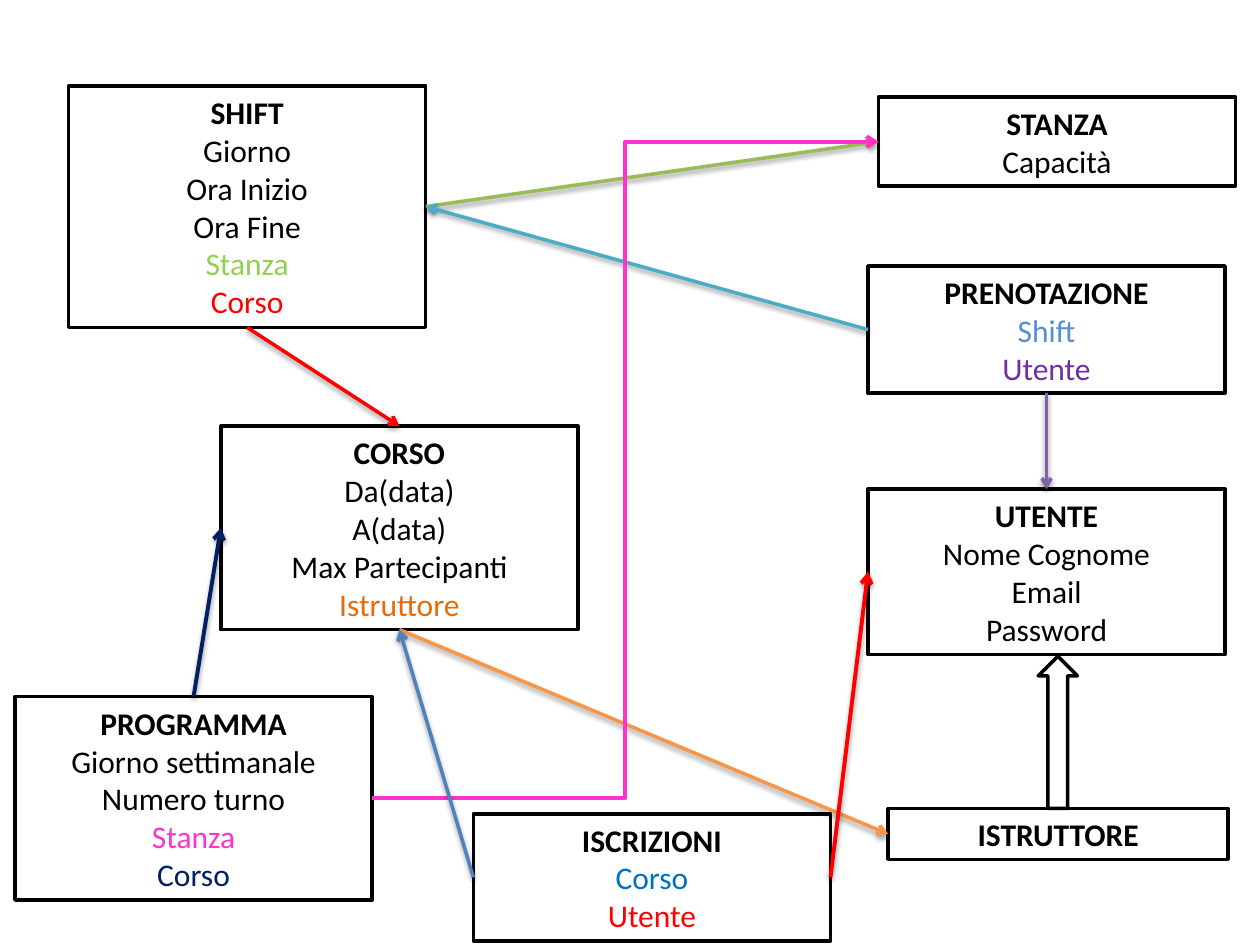
"""Builds the entity diagram of a course booking system."""
from dataclasses import dataclass

import lxml.etree
import pptx
import pptx.dml.color
import pptx.enum.shapes
import pptx.enum.text
import pptx.oxml.ns
import pptx.util

Pt = pptx.util.Pt
SHAPES = pptx.enum.shapes.MSO_SHAPE
CONNECTORS = pptx.enum.shapes.MSO_CONNECTOR
BLACK, WHITE, RED, PINK, NAVY = "000000", "FFFFFF", "FF0000", "FF33CC", "002060"
TOP, LEFT, BOTTOM, RIGHT = range(4)
LINE_HEIGHT, PADDING = 21.81, 7.27


@dataclass
class Field:
    text: str
    color: str = BLACK
    same_paragraph: bool = False


@dataclass
class Entity:
    name: str
    left: float
    top: float
    fields: list[Field]
    width: float = 204.1


@dataclass
class Link:
    source: str
    source_side: int
    target: str
    target_side: int
    color: str
    weight: float = 2
    elbow: bool = False


ENTITIES = [
    Entity("SHIFT", 39.2, 49, [
        Field("Giorno"), Field("Ora Inizio"), Field("Ora Fine"),
        Field("Stanza", "92D050"), Field("Corso", RED)]),
    Entity("STANZA", 502, 55.5, [Field("Capacità")]),
    Entity("CORSO", 126.2, 243.5, [
        Field("Da(data)"), Field("A(data)"), Field("Max Partecipanti"),
        Field("Istruttore", "E46C0A", True)]),
    Entity("PRENOTAZIONE", 496, 152, [
        Field("Shift", "558ED5"), Field("Utente", "7030A0")]),
    Entity("UTENTE", 496, 279.5, [
        Field("Nome Cognome"), Field("Email"), Field("Password")]),
    Entity("ISTRUTTORE", 507.5, 462, [], 194.4),
    Entity("PROGRAMMA", 8.6, 398, [
        Field("Giorno settimanale"), Field("Numero turno"),
        Field("Stanza", PINK), Field("Corso", NAVY, True)]),
    Entity("ISCRIZIONI", 270.5, 465, [
        Field("Corso", "0070C0"), Field("Utente", RED)]),
]

LINKS = [
    Link("SHIFT", RIGHT, "STANZA", LEFT, "9BBB59"),
    Link("SHIFT", BOTTOM, "CORSO", TOP, RED),
    Link("PRENOTAZIONE", LEFT, "SHIFT", RIGHT, "4BACC6"),
    Link("PRENOTAZIONE", BOTTOM, "UTENTE", TOP, "8064A2"),
    Link("CORSO", BOTTOM, "ISTRUTTORE", LEFT, "F79646"),
    Link("PROGRAMMA", TOP, "CORSO", LEFT, NAVY, 2.25),
    Link("PROGRAMMA", RIGHT, "STANZA", LEFT, PINK, 2.25, True),
    Link("ISCRIZIONI", LEFT, "CORSO", BOTTOM, "4F81BD"),
    Link("ISCRIZIONI", RIGHT, "UTENTE", LEFT, RED, 2.25),
]


def paint(color_owner, color: str) -> None:
    color_owner.rgb = pptx.dml.color.RGBColor.from_string(color)


def draw_outlined(slide, kind, left: float, top: float, width: float, height: float):
    shape = slide.shapes.add_shape(kind, Pt(left), Pt(top), Pt(width), Pt(height))
    shape.shadow.inherit = False
    shape.fill.solid()
    paint(shape.fill.fore_color, WHITE)
    paint(shape.line.color, BLACK)
    shape.line.width = Pt(2)
    return shape


def write_run(paragraph, text: str, color: str, bold: bool) -> None:
    run = paragraph.add_run()
    run.text = text
    run.font.name = "Calibri"
    run.font.size = Pt(18)
    run.font.bold = bold
    paint(run.font.color, color)


def draw_entity(slide, entity: Entity):
    height = PADDING + LINE_HEIGHT * (1 + len(entity.fields))
    box = draw_outlined(slide, SHAPES.RECTANGLE, entity.left, entity.top,
                        entity.width, height)
    frame = box.text_frame
    frame.word_wrap = True
    frame.auto_size = pptx.enum.text.MSO_AUTO_SIZE.SHAPE_TO_FIT_TEXT
    paragraph = frame.paragraphs[0]
    write_run(paragraph, entity.name, BLACK, True)
    for field in entity.fields:
        if field.same_paragraph:
            paragraph.add_line_break()
        else:
            paragraph = frame.add_paragraph()
        write_run(paragraph, field.text, field.color, False)
    for paragraph in frame.paragraphs:
        paragraph.alignment = pptx.enum.text.PP_ALIGN.CENTER
    return box


def add_effects(connector, shadowed: bool) -> None:
    qn = pptx.oxml.ns.qn
    properties = connector._element.spPr
    lxml.etree.SubElement(properties.find(qn("a:ln")), qn("a:tailEnd"), type="arrow")
    effects = lxml.etree.SubElement(properties, qn("a:effectLst"))
    if shadowed:
        shadow = lxml.etree.SubElement(
            effects, qn("a:outerShdw"), blurRad=str(Pt(3.1)), dist=str(Pt(1.6)),
            dir="5400000", rotWithShape="0")
        tint = lxml.etree.SubElement(shadow, qn("a:srgbClr"), val=BLACK)
        lxml.etree.SubElement(tint, qn("a:alpha"), val="38000")


def draw_link(slide, link: Link, boxes: dict) -> None:
    kind = CONNECTORS.ELBOW if link.elbow else CONNECTORS.STRAIGHT
    connector = slide.shapes.add_connector(kind, Pt(0), Pt(0), Pt(0), Pt(0))
    connector.begin_connect(boxes[link.source], link.source_side)
    connector.end_connect(boxes[link.target], link.target_side)
    paint(connector.line.color, link.color)
    connector.line.width = Pt(link.weight)
    add_effects(connector, not link.elbow)


def main() -> None:
    deck = pptx.Presentation()
    deck.slide_width, deck.slide_height = Pt(720), Pt(540)
    slide = deck.slides.add_slide(deck.slide_layouts[6])
    boxes = {entity.name: draw_entity(slide, entity) for entity in ENTITIES}
    for link in LINKS:
        draw_link(slide, link, boxes)
    draw_outlined(slide, SHAPES.UP_ARROW, 593.3, 375, 22.4, 87)
    deck.save("out.pptx")


main()
